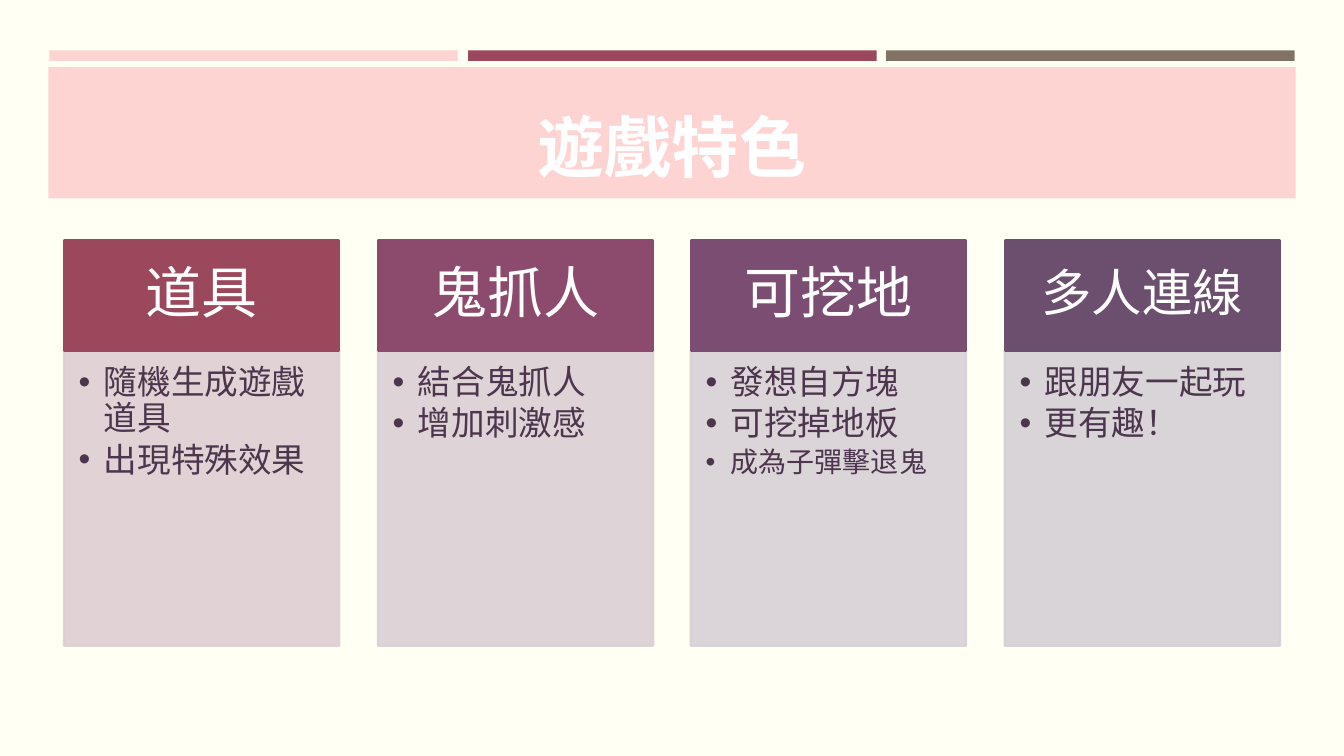
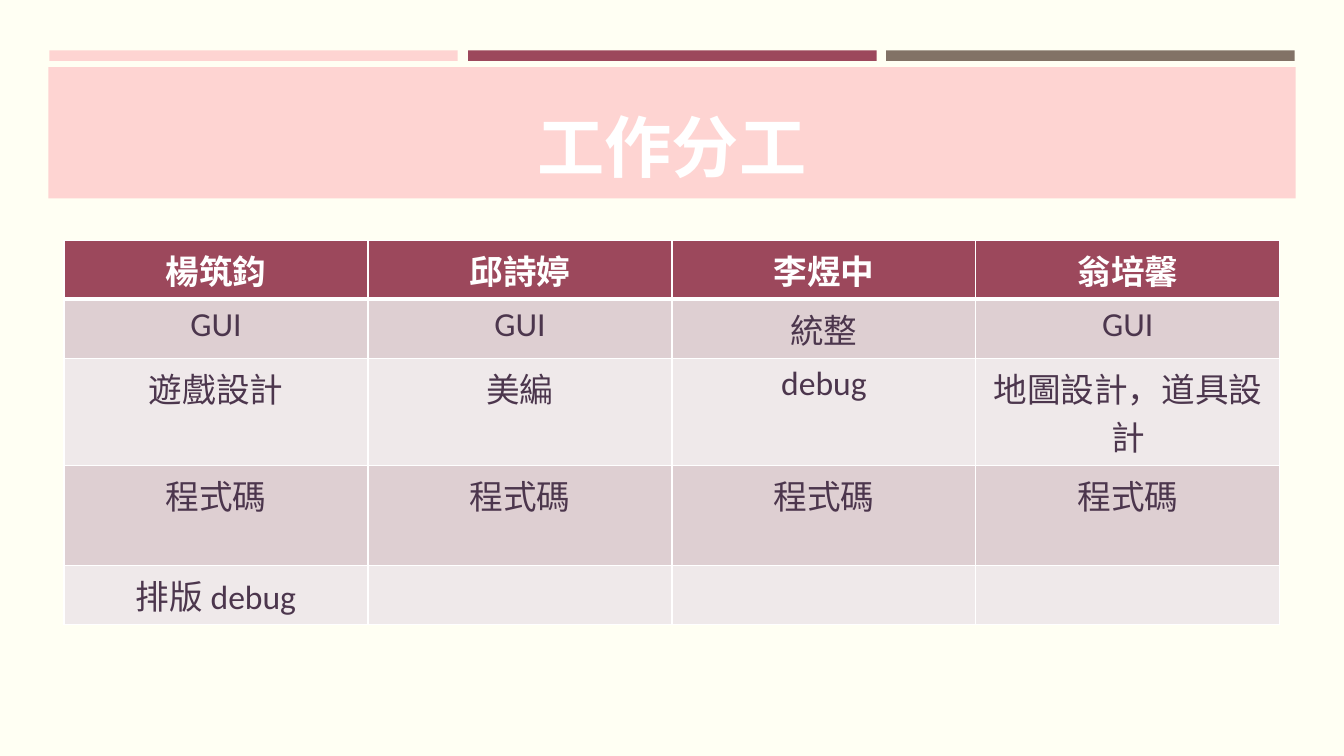
"""Build two slides on a game: its features and the division of work."""
import dataclasses
import typing

import lxml.etree
import pptx
import pptx.dml.color
import pptx.enum.shapes
import pptx.enum.text
import pptx.oxml.ns
import pptx.util

EMU_PER_PX = 9525
LEFT, RIGHT, CONTENT_TOP = 61, 1219, 229
Align = pptx.enum.text.PP_ALIGN
Anchor = pptx.enum.text.MSO_ANCHOR


@dataclasses.dataclass(frozen=True)
class Theme:
    """Colours, font and type sizes of the presentation."""
    font: str = "Calibri"
    background: str = "FFFFF3"
    band: str = "FED4D2"
    accent: str = "9C485C"
    brown: str = "827266"
    white: str = "FFFFFF"
    text: str = "4C364D"
    row_dark: str = "DECFD2"
    row_light: str = "EFE9EA"
    title_size: int = 48
    body_size: int = 24
    small_size: int = 20


THEME = Theme()


@dataclasses.dataclass(frozen=True)
class Box:
    """A rectangle in px."""
    left: int
    top: int
    width: int
    height: int

    def emu(self) -> tuple[int, ...]:
        """Return left, top, width and height in EMU."""
        return tuple(px(value) for value in dataclasses.astuple(self))


@dataclasses.dataclass(frozen=True)
class Item:
    """One list entry."""
    text: str
    size: int = THEME.body_size


@dataclasses.dataclass(frozen=True)
class Card:
    """A heading above a list."""
    heading: str
    items: tuple[Item, ...]
    color: str
    tint: str
    heading_size: int = 40


CARDS = (
    Card("道具", (Item("隨機生成遊戲道具"), Item("出現特殊效果")), THEME.accent, "DECFD2"),
    Card("鬼抓人", (Item("結合鬼抓人"), Item("增加刺激感")), "8C4B6C", "DBCFD5"),
    Card("可挖地", (Item("發想自方塊"), Item("可挖掉地板"),
                 Item("成為子彈擊退鬼", THEME.small_size)), "7C4D72", "D8D0D6"),
    Card("多人連線", (Item("跟朋友一起玩"), Item("更有趣！")), "6C4E6E", "D4D0D5", 36),
)
WORK_ROWS = (
    ("楊筑鈞", "邱詩婷", "李煜中", "翁培馨"),
    ("GUI", "GUI", "統整", "GUI"),
    ("遊戲設計", "美編", "debug", "地圖設計，道具設計"),
    ("程式碼",) * 4,
    ("排版 debug", "", "", ""),
)
ROW_HEIGHTS = (56, 56, 102, 95, 56)


def px(value: int) -> int:
    """Turn px into EMU."""
    return value * EMU_PER_PX


def rgb(color: str) -> pptx.dml.color.RGBColor:
    """Turn a hex string into a colour."""
    return pptx.dml.color.RGBColor.from_string(color)


def spread(left: int, right: int, width: int, count: int) -> list[int]:
    """Return the left edges of equal boxes that fill a span with equal gaps."""
    step = (right - left - width) / (count - 1)
    return [round(left + index * step) for index in range(count)]


def add_child(parent: typing.Any, tag: str, **attributes: str) -> typing.Any:
    """Append an XML element to a parent."""
    return lxml.etree.SubElement(parent, pptx.oxml.ns.qn(tag), attributes)


def paint(shape: typing.Any, color: str, line: bool = False, opacity: int = 100) -> None:
    """Fill a shape and outline it in the same colour if asked."""
    shape.fill.solid()
    shape.fill.fore_color.rgb = rgb(color)
    if line:
        shape.line.color.rgb = rgb(color)
        shape.line.width = pptx.util.Pt(1.75)
    else:
        shape.line.fill.background()
    if opacity < 100:
        for element in shape.element.spPr.iter(pptx.oxml.ns.qn("a:srgbClr")):
            add_child(element, "a:alpha", val=str(opacity * 1000))


def add_rectangle(slide: typing.Any, box: Box, color: str, line: bool = False) -> typing.Any:
    """Draw a filled rectangle without a shadow."""
    shape = slide.shapes.add_shape(pptx.enum.shapes.MSO_SHAPE.RECTANGLE, *box.emu())
    shape.shadow.inherit = False
    paint(shape, color, line)
    return shape


def place(shape: typing.Any, box: Box) -> None:
    """Move and size a shape."""
    shape.left, shape.top, shape.width, shape.height = box.emu()


def set_frame(frame: typing.Any, anchor: typing.Any, insets: tuple[int, int, int, int]) -> None:
    """Set wrapping, anchor and the left, top, right and bottom insets."""
    frame.word_wrap = True
    frame.auto_size = pptx.enum.text.MSO_AUTO_SIZE.NONE
    frame.vertical_anchor = anchor
    (frame.margin_left, frame.margin_top,
     frame.margin_right, frame.margin_bottom) = map(px, insets)


def write(paragraph: typing.Any, text: str, *, size: int = THEME.body_size,
          color: str = THEME.text, bold: bool = False,
          align: typing.Any = Align.CENTER, spacing: float = 1.0) -> None:
    """Write one formatted run into a paragraph."""
    paragraph.alignment = align
    paragraph.line_spacing = spacing
    run = paragraph.add_run()
    run.text = text
    run.font.name = THEME.font
    run.font.size = pptx.util.Pt(size)
    run.font.bold = bold
    run.font.color.rgb = rgb(color)


def set_bullet(paragraph: typing.Any) -> None:
    """Give a paragraph a round bullet with a hanging indent."""
    properties = paragraph._p.get_or_add_pPr()
    properties.set("marL", str(px(24)))
    properties.set("indent", str(px(-24)))
    add_child(properties, "a:buFont", typeface="Arial")
    add_child(properties, "a:buChar", char="•")


def decorate_master(presentation: typing.Any, slide: typing.Any) -> None:
    """Put the background, bars and title band on the slide master."""
    master = presentation.slide_master
    master.background.fill.solid()
    master.background.fill.fore_color.rgb = rgb(THEME.background)
    bars = [add_rectangle(slide, Box(left, 48, 389, 10), color)
            for left, color in zip(spread(47, 1233, 389, 3),
                                   (THEME.band, THEME.accent, THEME.brown))]
    band = add_rectangle(slide, Box(46, 64, 1188, 125), THEME.band)
    for index, shape in enumerate([*bars, band]):
        shape.element.nvSpPr.cNvPr.set("id", str(100 + index))
        master.shapes.element.insert(2 + index, shape.element)


def add_slide(presentation: typing.Any, layout_name: str, title: str) -> typing.Any:
    """Add a slide with its title on the band."""
    slide = presentation.slides.add_slide(presentation.slide_layouts.get_by_name(layout_name))
    shape = slide.shapes.title
    place(shape, Box(LEFT, 76, RIGHT - LEFT, 125))
    set_frame(shape.text_frame, Anchor.MIDDLE, (10, 5, 10, 5))
    write(shape.text_frame.paragraphs[0], title,
          size=THEME.title_size, color=THEME.white, bold=True)
    return slide


def add_card(slide: typing.Any, card: Card, left: int, width: int, body: typing.Any) -> None:
    """Draw a heading and fill a body placeholder with the list below it."""
    heading = add_rectangle(slide, Box(left, CONTENT_TOP, width, 105), card.color, line=True)
    set_frame(heading.text_frame, Anchor.MIDDLE, (27, 16, 27, 16))
    write(heading.text_frame.paragraphs[0], card.heading,
          size=card.heading_size, color=THEME.white, spacing=0.9)
    place(body, Box(left, CONTENT_TOP + 105, width, 281))
    paint(body, card.tint, line=True, opacity=90)
    frame = body.text_frame
    set_frame(frame, Anchor.TOP, (14, 14, 18, 20))
    for index, item in enumerate(card.items):
        paragraph = frame.add_paragraph() if index else frame.paragraphs[0]
        write(paragraph, item.text, size=item.size, align=Align.LEFT, spacing=0.9)
        paragraph.space_before = pptx.util.Pt(0)
        paragraph.space_after = pptx.util.Pt(item.size * 0.15)
        set_bullet(paragraph)


def set_borders(cell: typing.Any, top: int, bottom: int) -> None:
    """Draw white cell borders, widths in points."""
    properties = cell._tc.get_or_add_tcPr()
    for side, width in (("L", 1), ("R", 1), ("T", top), ("B", bottom)):
        line = add_child(properties, f"a:ln{side}", w=str(pptx.util.Pt(width)))
        add_child(add_child(line, "a:solidFill"), "a:srgbClr", val=THEME.white)


def add_work_table(slide: typing.Any) -> None:
    """Draw the table of who does what."""
    box = Box(LEFT, CONTENT_TOP, RIGHT - LEFT, sum(ROW_HEIGHTS))
    table = slide.shapes.add_table(len(WORK_ROWS), len(WORK_ROWS[0]), *box.emu()).table
    for row_index, (texts, height) in enumerate(zip(WORK_ROWS, ROW_HEIGHTS)):
        table.rows[row_index].height = px(height)
        header = row_index == 0
        banded = THEME.row_dark if row_index % 2 else THEME.row_light
        for column_index, text in enumerate(texts):
            cell = table.cell(row_index, column_index)
            set_borders(cell, 3 if row_index == 1 else 1, 3 if header else 1)
            cell.fill.solid()
            cell.fill.fore_color.rgb = rgb(THEME.accent if header else banded)
            if text:
                write(cell.text_frame.paragraphs[0], text, bold=header,
                      color=THEME.white if header else THEME.text)


def main() -> None:
    """Build and save the presentation."""
    presentation = pptx.Presentation()
    presentation.slide_width, presentation.slide_height = px(1280), px(720)
    features = add_slide(presentation, "Comparison", "遊戲特色")
    decorate_master(presentation, features)
    bodies = [shape for shape in features.placeholders if shape.placeholder_format.idx]
    card_width = 262
    lefts = spread(LEFT, RIGHT, card_width, len(CARDS))
    for card, left, body in zip(CARDS, lefts, bodies):
        add_card(features, card, left, card_width, body)
    add_work_table(add_slide(presentation, "Title Only", "工作分工"))
    presentation.save("out.pptx")


if __name__ == "__main__":
    main()
